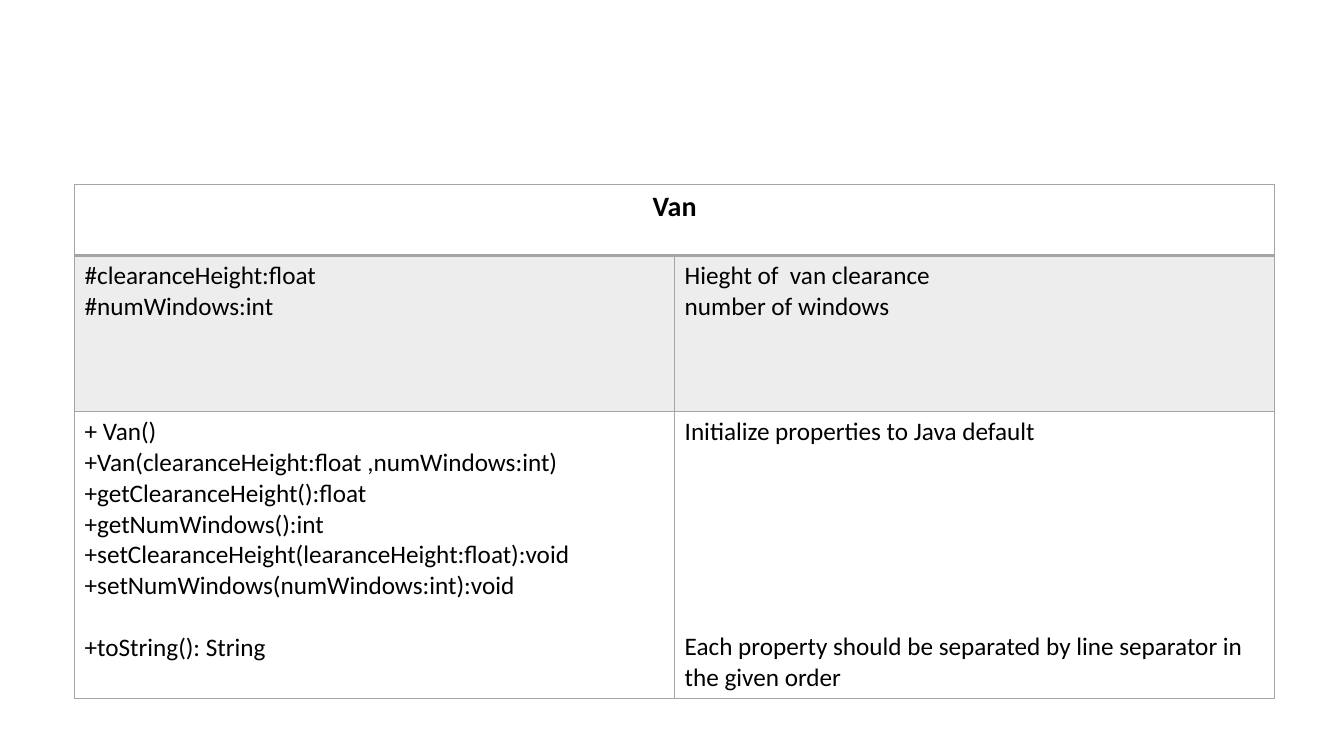
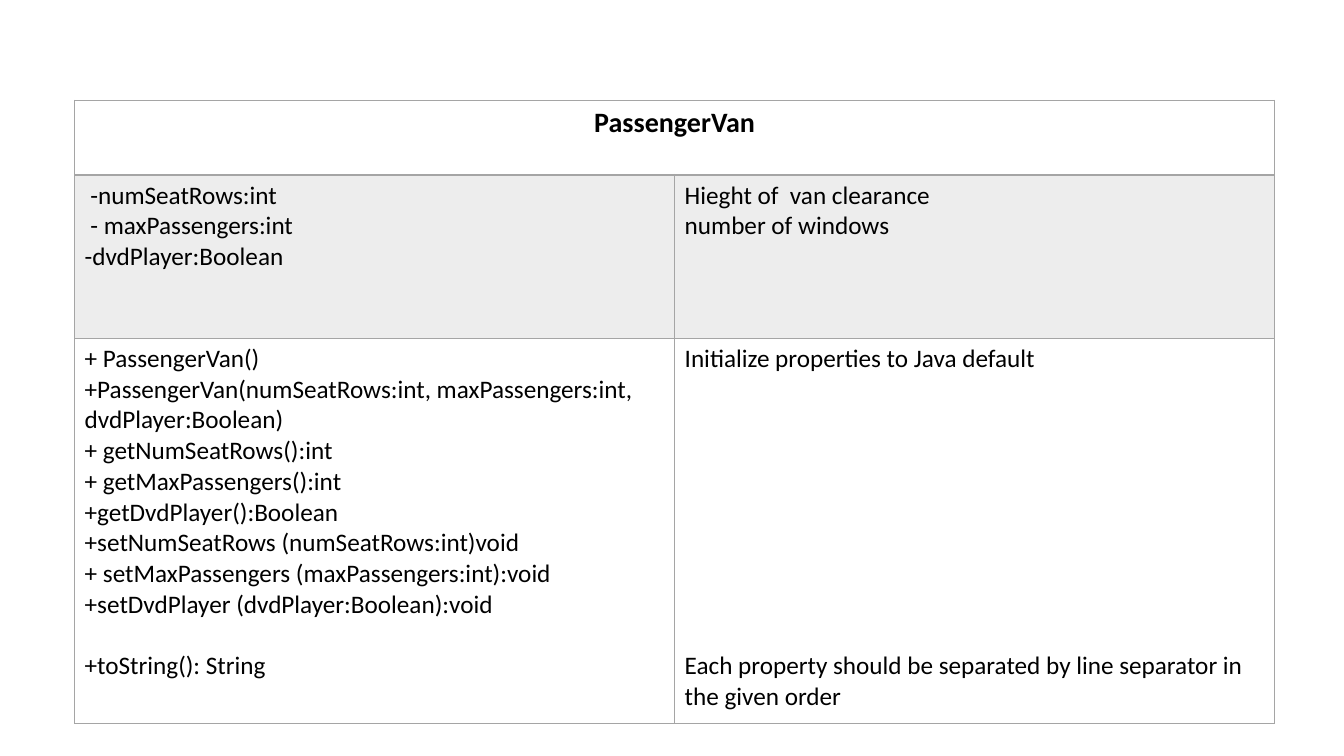
from lxml.etree import SubElement
from pptx import Presentation
from pptx.dml.color import RGBColor
from pptx.enum.text import PP_ALIGN
from pptx.oxml.ns import qn
from pptx.util import Pt

# Shared style
FONT = "Calibri"
BLACK = RGBColor(0x00, 0x00, 0x00)
BORDER_GRAY = RGBColor(0xA5, 0xA5, 0xA5)
BAND_GRAY = RGBColor(0xED, 0xED, 0xED)
HEADER_SIZE, BODY_SIZE = 20, 18
LINE_HEIGHT = 21.95
TABLE_LEFT, COLUMN_WIDTH = 53.3, 428.6
THIN, THICK = 1, 2

# Text shared by both class tables
FIELD_NOTES = ["Hieght of  van clearance", "number of windows"]
DEFAULT_NOTE = "Initialize properties to Java default"
STRING_METHOD = "+toString(): String"
STRING_NOTE = "Each property should be separated by line separator in the given order"

VAN_FIELDS = ["#clearanceHeight:float", "#numWindows:int"]
VAN_METHODS = [
    "+ Van()",
    "+Van(clearanceHeight:float ,numWindows:int)",
    "+getClearanceHeight():float",
    "+getNumWindows():int",
    "+setClearanceHeight(learanceHeight:float):void",
    "+setNumWindows(numWindows:int):void",
]
PASSENGER_FIELDS = [" -numSeatRows:int", " - maxPassengers:int", "-dvdPlayer:Boolean"]
PASSENGER_METHODS = [
    "+ PassengerVan()",
    "+PassengerVan(numSeatRows:int, maxPassengers:int, dvdPlayer:Boolean)",
    "+ getNumSeatRows():int",
    "+ getMaxPassengers():int",
    "+getDvdPlayer():Boolean",
    "+setNumSeatRows (numSeatRows:int)void",
    "+ setMaxPassengers (maxPassengers:int):void",
    "+setDvdPlayer (dvdPlayer:Boolean):void",
]


def set_borders(cell, top=THIN, bottom=THIN):
    """Draw the four cell borders; they must precede the fill in the XML."""
    properties = cell._tc.get_or_add_tcPr()
    widths = {"a:lnL": THIN, "a:lnR": THIN, "a:lnT": top, "a:lnB": bottom}
    for index, (tag, width) in enumerate(widths.items()):
        line = SubElement(properties, qn(tag), w=str(Pt(width)))
        fill = SubElement(line, qn("a:solidFill"))
        SubElement(fill, qn("a:srgbClr"), val=str(BORDER_GRAY))
        properties.insert(index, line)


def write_lines(cell, lines, size=BODY_SIZE, bold=False, gap_lines=0):
    """Write one paragraph per line, with an optional gap before the last."""
    cell.text = "\n".join(lines)
    paragraphs = cell.text_frame.paragraphs
    for paragraph in paragraphs:
        paragraph.font.name = FONT
        paragraph.font.size = Pt(size)
        paragraph.font.bold = bold
        paragraph.font.color.rgb = BLACK
    if gap_lines:
        paragraphs[-1].space_before = Pt(gap_lines * LINE_HEIGHT)


def add_class_table(presentation, name, top, row_heights, fields, methods, note_gap):
    slide = presentation.slides.add_slide(presentation.slide_layouts[6])
    frame = slide.shapes.add_table(3, 2, Pt(TABLE_LEFT), Pt(top),
                                   Pt(2 * COLUMN_WIDTH), Pt(sum(row_heights)))
    table = frame.table
    table.first_row = table.horz_banding = False
    for column in table.columns:
        column.width = Pt(COLUMN_WIDTH)
    for row, height in zip(table.rows, row_heights):
        row.height = Pt(height)

    # Fills and borders
    for row_index, row in enumerate(table.rows):
        for cell in row.cells:
            if row_index == 1:
                cell.fill.solid()
                cell.fill.fore_color.rgb = BAND_GRAY
            else:
                cell.fill.background()
            set_borders(cell, top=THICK if row_index == 1 else THIN,
                        bottom=THICK if row_index == 0 else THIN)

    # Class name
    header = table.cell(0, 0)
    header.merge(table.cell(0, 1))
    write_lines(header, [name], HEADER_SIZE, bold=True)
    header.text_frame.paragraphs[0].alignment = PP_ALIGN.CENTER

    # Fields, then methods, each beside its notes
    write_lines(table.cell(1, 0), fields)
    write_lines(table.cell(1, 1), FIELD_NOTES)
    write_lines(table.cell(2, 0), methods + [STRING_METHOD], gap_lines=1)
    write_lines(table.cell(2, 1), [DEFAULT_NOTE, STRING_NOTE], gap_lines=note_gap)


def main():
    presentation = Presentation()
    presentation.slide_width, presentation.slide_height = Pt(960), Pt(540)
    add_class_table(presentation, "Van", 131.6, [51, 111.5, 204.8],
                    VAN_FIELDS, VAN_METHODS, note_gap=6)
    add_class_table(presentation, "PassengerVan", 71.7, [53.4, 116.6, 275],
                    PASSENGER_FIELDS, PASSENGER_METHODS, note_gap=9)
    presentation.save("out.pptx")


if __name__ == "__main__":
    main()
